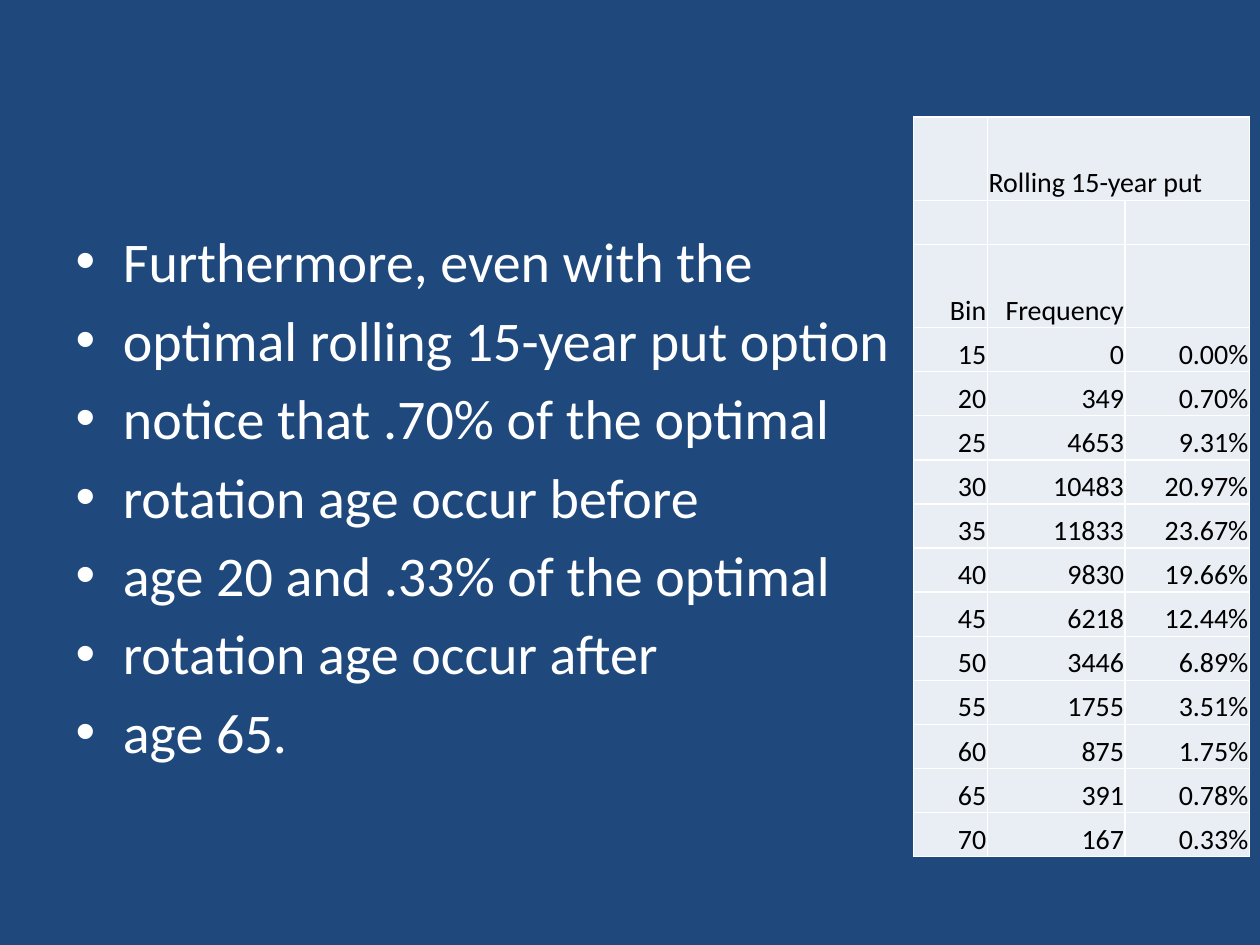
from lxml import etree
from pptx import Presentation
from pptx.dml.color import RGBColor
from pptx.enum.text import MSO_ANCHOR, MSO_AUTO_SIZE, PP_ALIGN
from pptx.oxml.ns import qn
from pptx.util import Pt

BOTTOM = MSO_ANCHOR.BOTTOM
NO_AUTOFIT = MSO_AUTO_SIZE.NONE
LEFT, RIGHT = PP_ALIGN.LEFT, PP_ALIGN.RIGHT
TITLE_AND_CONTENT = 1

NAVY, WHITE, BLACK, PALE = "1F497D", "FFFFFF", "000000", "E9EDF4"
BODY_FONT = {"name": "Calibri", "size": Pt(32)}
CELL_FONT = {"name": "Calibri", "size": Pt(16)}
CELL_FORMAT = {
    "margin_left": Pt(0.72),
    "margin_right": Pt(0.72),
    "margin_top": Pt(0.72),
    "margin_bottom": Pt(0),
    "vertical_anchor": BOTTOM,
}

BULLETS = [
    "Furthermore, even with the",
    "optimal rolling 15-year put option",
    "notice that .70% of the optimal",
    "rotation age occur before",
    "age 20 and .33% of the optimal",
    "rotation age occur after",
    "age 65.",
]
FREQUENCIES = [
    ("15", "0", "0.00%"),
    ("20", "349", "0.70%"),
    ("25", "4653", "9.31%"),
    ("30", "10483", "20.97%"),
    ("35", "11833", "23.67%"),
    ("40", "9830", "19.66%"),
    ("45", "6218", "12.44%"),
    ("50", "3446", "6.89%"),
    ("55", "1755", "3.51%"),
    ("60", "875", "1.75%"),
    ("65", "391", "0.78%"),
    ("70", "167", "0.33%"),
]
TABLE_ROWS = [("", "Rolling 15-year put", ""), ("", "", ""),
              ("Bin", "Frequency", "")] + FREQUENCIES
TALL_ROWS = (0, 2)
TALL, SHORT = 47.52, 25.2
COLUMN_SHARES = (0.22, 0.41, 0.37)


def color(value):
    """Turn a hex string into a colour."""
    return RGBColor.from_string(value)


def apply_format(target, values):
    """Set each named attribute on the target."""
    for name, value in values.items():
        setattr(target, name, value)


def write_text(paragraph, text, font, text_color):
    """Add one formatted run to a paragraph."""
    run = paragraph.add_run()
    run.text = text
    apply_format(run.font, font)
    run.font.color.rgb = color(text_color)


def add_borders(cell, line_color, width):
    """Draw a solid line on all four sides of a cell."""
    properties = cell._tc.get_or_add_tcPr()
    for side in ("a:lnL", "a:lnR", "a:lnT", "a:lnB"):
        line = etree.SubElement(properties, qn(side), w=str(Pt(width)))
        fill = etree.SubElement(line, qn("a:solidFill"))
        etree.SubElement(fill, qn("a:srgbClr"), val=line_color)


def fill_bullets(placeholder, left, top, width, height):
    """Place the body placeholder and write its bullets."""
    apply_format(placeholder, {"left": Pt(left), "top": Pt(top),
                               "width": Pt(width), "height": Pt(height)})
    frame = placeholder.text_frame
    apply_format(frame, {"word_wrap": True, "auto_size": NO_AUTOFIT})
    for index, text in enumerate(BULLETS):
        paragraph = frame.add_paragraph() if index else frame.paragraphs[0]
        write_text(paragraph, text, BODY_FONT, WHITE)


def add_frequency_table(slide, left, top, width):
    """Add the table of rotation ages, its columns sharing the width."""
    heights = [TALL if row in TALL_ROWS else SHORT
               for row in range(len(TABLE_ROWS))]
    table = slide.shapes.add_table(
        len(TABLE_ROWS), len(COLUMN_SHARES),
        Pt(left), Pt(top), Pt(width), Pt(sum(heights))).table
    apply_format(table, {"first_row": False, "horz_banding": False})
    for column, share in zip(table.columns, COLUMN_SHARES):
        column.width = Pt(width * share)
    for row_index, (values, height) in enumerate(zip(TABLE_ROWS, heights)):
        table.rows[row_index].height = Pt(height)
        for column_index, text in enumerate(values):
            cell = table.cell(row_index, column_index)
            apply_format(cell, CELL_FORMAT)
            add_borders(cell, WHITE, 1)
            cell.fill.solid()
            cell.fill.fore_color.rgb = color(PALE)
            if text:
                paragraph = cell.text_frame.paragraphs[0]
                paragraph.alignment = RIGHT if row_index else LEFT
                write_text(paragraph, text, CELL_FONT, BLACK)
    table.cell(0, 1).merge(table.cell(0, 2))


def build_slide(presentation):
    """Build the slide with bullets on the left and the table on the right."""
    layout = presentation.slide_layouts[TITLE_AND_CONTENT]
    slide = presentation.slides.add_slide(layout)
    slide.background.fill.solid()
    slide.background.fill.fore_color.rgb = color(NAVY)
    title = slide.shapes.title.element
    title.getparent().remove(title)
    fill_bullets(slide.placeholders[1], 36, 126, 648, 356.4)
    add_frequency_table(slide, 522, 66.96, 192)


def main():
    """Create the presentation and save it."""
    presentation = Presentation()
    apply_format(presentation, {"slide_width": Pt(720),
                                "slide_height": Pt(540)})
    build_slide(presentation)
    presentation.save("out.pptx")


main()
